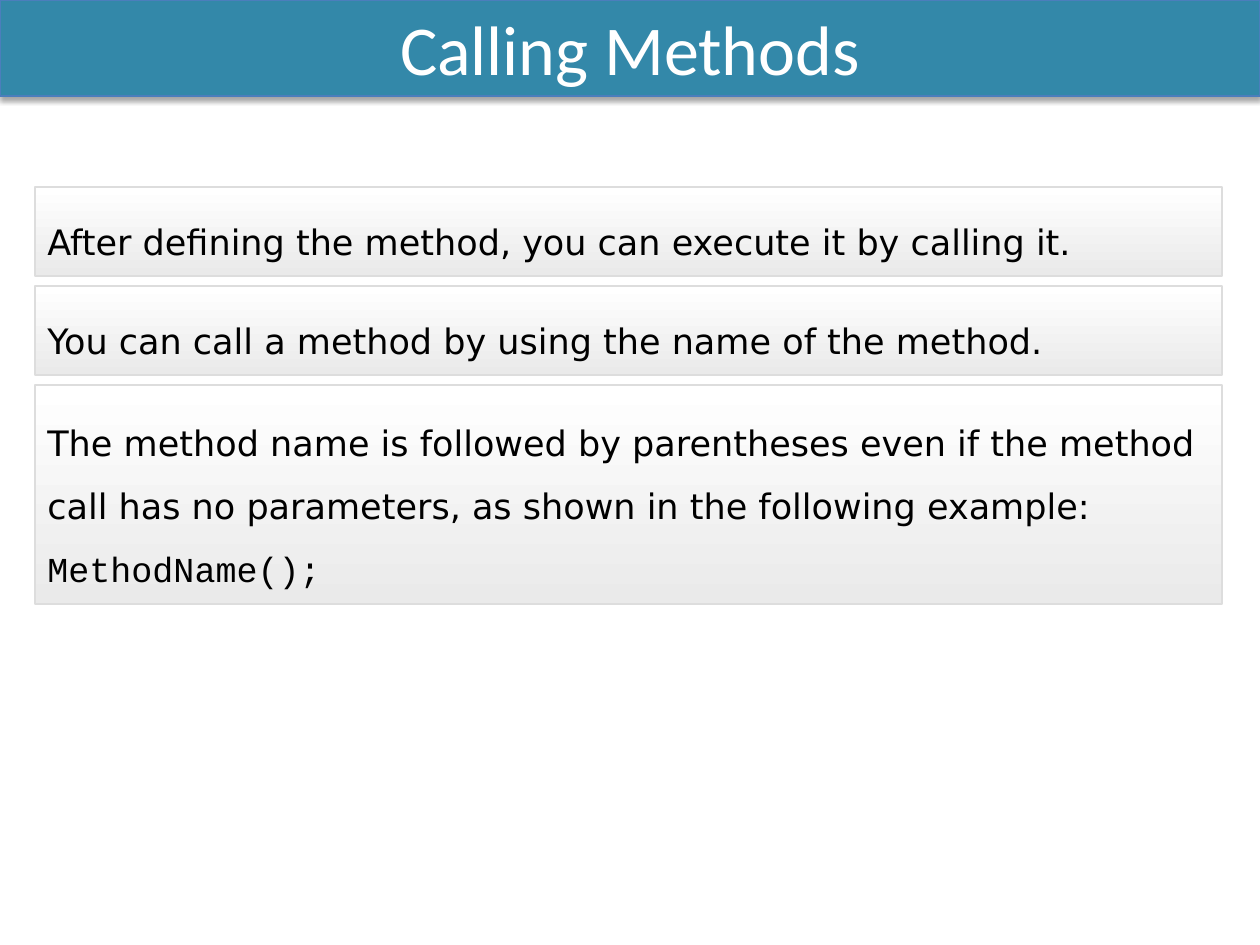
import lxml.etree
import pptx
import pptx.dml.color
import pptx.enum.shapes
import pptx.enum.text
import pptx.oxml.ns
import pptx.util

PX = 914400 / 126
COLORS = {
    "banner": "3388A9",
    "banner_edge": "4B7EBC",
    "panel_top": "FFFFFF",
    "panel_bottom": "EAEAEA",
    "panel_edge": "DDDDDD",
    "title": "FFFFFF",
    "body": "000000",
    "shadow": "000000",
}
POINTS = [
    (89, [("After defining the method, you can execute it by calling it.", "DejaVu Sans")]),
    (89, [("You can call a method by using the name of the method.", "DejaVu Sans")]),
    (219, [
        ("The method name is followed by parentheses even if the method call has "
         "no parameters, as shown in the following example:", "DejaVu Sans"),
        ("MethodName();", "Courier New"),
    ]),
]


def emu(px):
    return pptx.util.Emu(round(px * PX))


def rgb(name):
    return pptx.dml.color.RGBColor.from_string(COLORS[name])


def write(paragraph, text, font="DejaVu Sans", size=20, color="body", align="LEFT", spacing=1.0):
    paragraph.alignment = getattr(pptx.enum.text.PP_ALIGN, align)
    paragraph.line_spacing = spacing
    run = paragraph.add_run()
    run.text = text
    run.font.name = font
    run.font.size = pptx.util.Pt(size)
    run.font.color.rgb = rgb(color)


class Deck:
    """Holds the style and the current slide, and draws its elements."""

    def __init__(self, width, height):
        self.presentation = pptx.Presentation()
        self.presentation.slide_width = emu(width)
        self.presentation.slide_height = emu(height)
        self.slide = self.presentation.slides.add_slide(self.presentation.slide_layouts[6])

    def rectangle(self, left, top, width, height, edge, edge_width):
        box = self.slide.shapes.add_shape(
            pptx.enum.shapes.MSO_SHAPE.RECTANGLE, emu(left), emu(top), emu(width), emu(height))
        box.shadow.inherit = False
        box.line.color.rgb = rgb(edge)
        box.line.width = pptx.util.Pt(edge_width)
        box.text_frame.word_wrap = True
        box.text_frame.vertical_anchor = pptx.enum.text.MSO_ANCHOR.MIDDLE
        return box

    def drop_shadow(self, box, blur, distance, opacity):
        qn = pptx.oxml.ns.qn
        effects = box.element.spPr.find(qn("a:effectLst"))
        shadow = lxml.etree.SubElement(
            effects, qn("a:outerShdw"), blurRad=str(pptx.util.Pt(blur)),
            dist=str(pptx.util.Pt(distance)), dir="5400000", rotWithShape="0")
        tint = lxml.etree.SubElement(shadow, qn("a:srgbClr"), val=COLORS["shadow"])
        lxml.etree.SubElement(tint, qn("a:alpha"), val=str(opacity * 1000))

    def banner(self, title, width, height):
        banner = self.rectangle(0, 0, width, height, "banner_edge", 0.75)
        banner.fill.solid()
        banner.fill.fore_color.rgb = rgb("banner")
        self.drop_shadow(banner, blur=3.1, distance=1.8, opacity=35)
        write(banner.text_frame.paragraphs[0], title,
              font="Calibri", size=40, color="title", align="CENTER")

    def panel(self, left, top, width, height, lines):
        panel = self.rectangle(left, top, width, height, "panel_edge", 1)
        panel.fill.gradient()
        panel.fill.gradient_angle = 270
        for stop, position, color in zip(
                panel.fill.gradient_stops, (0, 1), ("panel_top", "panel_bottom")):
            stop.position = position
            stop.color.rgb = rgb(color)
        frame = panel.text_frame
        for index, (text, font) in enumerate(lines):
            paragraph = frame.add_paragraph() if index else frame.paragraphs[0]
            write(paragraph, text, font=font, spacing=1.5)


def main():
    deck = Deck(1260, 945)
    deck.banner("Calling Methods", 1260, 96)
    top, gap = 187, 10
    for height, lines in POINTS:
        deck.panel(35, top, 1187, height, lines)
        top += height + gap
    deck.presentation.save("out.pptx")


if __name__ == "__main__":
    main()
